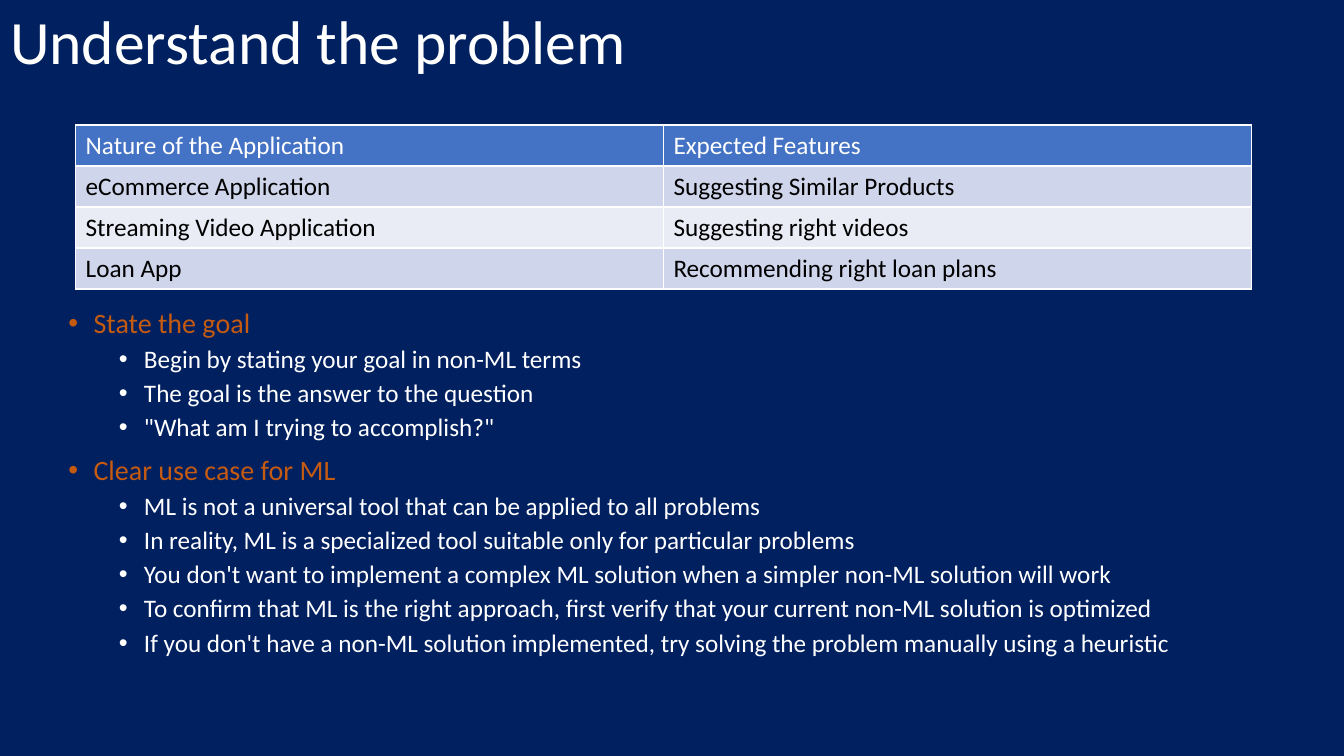
import pptx
import pptx.util
import pptx.dml.color
import pptx.enum.text
import pptx.oxml
import pptx.oxml.ns
from dataclasses import dataclass

# Content
TITLE = "Understand the problem"
FEATURES = [
    ("Nature of the Application", "Expected Features"),
    ("eCommerce Application", "Suggesting Similar Products"),
    ("Streaming Video Application", "Suggesting right videos"),
    ("Loan App", "Recommending right loan plans"),
]
TOPICS = {
    "State the goal": [
        "Begin by stating your goal in non-ML terms",
        "The goal is the answer to the question",
        '"What am I trying to accomplish?"',
    ],
    "Clear use case for ML": [
        "ML is not a universal tool that can be applied to all problems",
        "In reality, ML is a specialized tool suitable only for particular problems",
        "You don't want to implement a complex ML solution when a simpler non-ML solution will work",
        "To confirm that ML is the right approach, first verify that your current non-ML solution is optimized",
        "If you don't have a non-ML solution implemented, try solving the problem manually using a heuristic",
    ],
}


@dataclass(frozen=True)
class Theme:
    font: str = "Calibri"
    background: str = "002060"
    light: str = "FFFFFF"
    dark: str = "000000"
    accent: str = "C55A11"
    header: str = "4472C4"
    bands: tuple = ("CFD5EA", "E9EBF5")
    title_size: int = 44
    topic_size: int = 20
    text_size: int = 18


THEME = Theme()
Inches, Pt = pptx.util.Inches, pptx.util.Pt

# Layout in inches
WIDTH, HEIGHT = 13.33, 7.5
TITLE_BOX = (0, 0.02, WIDTH, 0.85)
BODY_BOX = (0.58, 3.02, 12.5, 3.62)
TABLE_LEFT, TABLE_TOP = 0.75, 1.24
COLUMN, ROW = 5.83, 0.407


def rgb(value):
    return pptx.dml.color.RGBColor.from_string(value)


def place(sp, box):
    sp.left, sp.top, sp.width, sp.height = map(Inches, box)


def fill(part, color):
    part.fill.solid()
    part.fill.fore_color.rgb = rgb(color)


def write(p, text, size=THEME.text_size, color=THEME.light, spacing=None, before=0):
    p.alignment = pptx.enum.text.PP_ALIGN.LEFT
    p.line_spacing = spacing
    p.space_before = Pt(before)
    r = p.add_run()
    r.text = text
    r.font.name, r.font.size, r.font.bold = THEME.font, Pt(size), False
    r.font.color.rgb = rgb(color)


def add_bullet(p, level):
    p.level = level
    pPr = p._p.get_or_add_pPr()
    pPr.set("marL", str(Inches(0.25 + 0.5 * level)))
    pPr.set("indent", str(Inches(-0.25)))
    ns = pptx.oxml.ns.nsdecls("a")
    pPr.append(pptx.oxml.parse_xml(f'<a:buFont {ns} typeface="Arial"/>'))
    pPr.append(pptx.oxml.parse_xml(f'<a:buChar {ns} char="•"/>'))


def add_borders(cell):
    tcPr = cell._tc.get_or_add_tcPr()
    for side in "LRTB":
        tcPr.append(pptx.oxml.parse_xml(
            f'<a:ln{side} {pptx.oxml.ns.nsdecls("a")} w="{Pt(1)}"><a:solidFill>'
            f'<a:srgbClr val="{THEME.light}"/></a:solidFill></a:ln{side}>'))


def add_title(s):
    sp = s.shapes.title
    place(sp, TITLE_BOX)
    tf = sp.text_frame
    tf.auto_size = pptx.enum.text.MSO_AUTO_SIZE.NONE
    tf.vertical_anchor = pptx.enum.text.MSO_ANCHOR.MIDDLE
    write(tf.paragraphs[0], TITLE, size=THEME.title_size, spacing=0.9)


def add_features(s):
    rows, cols = len(FEATURES), len(FEATURES[0])
    box = (TABLE_LEFT, TABLE_TOP, COLUMN * cols, ROW * rows)
    table = s.shapes.add_table(rows, cols, *map(Inches, box)).table
    for i, row in enumerate(FEATURES):
        table.rows[i].height = Inches(ROW)
        for j, text in enumerate(row):
            cell = table.cell(i, j)
            add_borders(cell)
            fill(cell, THEME.bands[(i - 1) % 2] if i else THEME.header)
            write(cell.text_frame.paragraphs[0], text,
                  color=THEME.dark if i else THEME.light)


def add_topics(s):
    tf = s.shapes.add_textbox(*map(Inches, BODY_BOX)).text_frame
    tf.word_wrap = True
    lines = [(text, level) for topic, points in TOPICS.items()
             for text, level in [(topic, 0)] + [(point, 1) for point in points]]
    for i, (text, level) in enumerate(lines):
        p = tf.add_paragraph() if i else tf.paragraphs[0]
        add_bullet(p, level)
        write(p, text, spacing=0.9,
              size=THEME.text_size if level else THEME.topic_size,
              color=THEME.light if level else THEME.accent,
              before=(5 if level else 10) if i else 0)


def main():
    prs = pptx.Presentation()
    prs.slide_width, prs.slide_height = Inches(WIDTH), Inches(HEIGHT)
    s = prs.slides.add_slide(prs.slide_layouts.get_by_name("Title Only"))
    fill(s.background, THEME.background)
    add_title(s)
    add_topics(s)
    add_features(s)
    prs.save("out.pptx")


if __name__ == "__main__":
    main()
